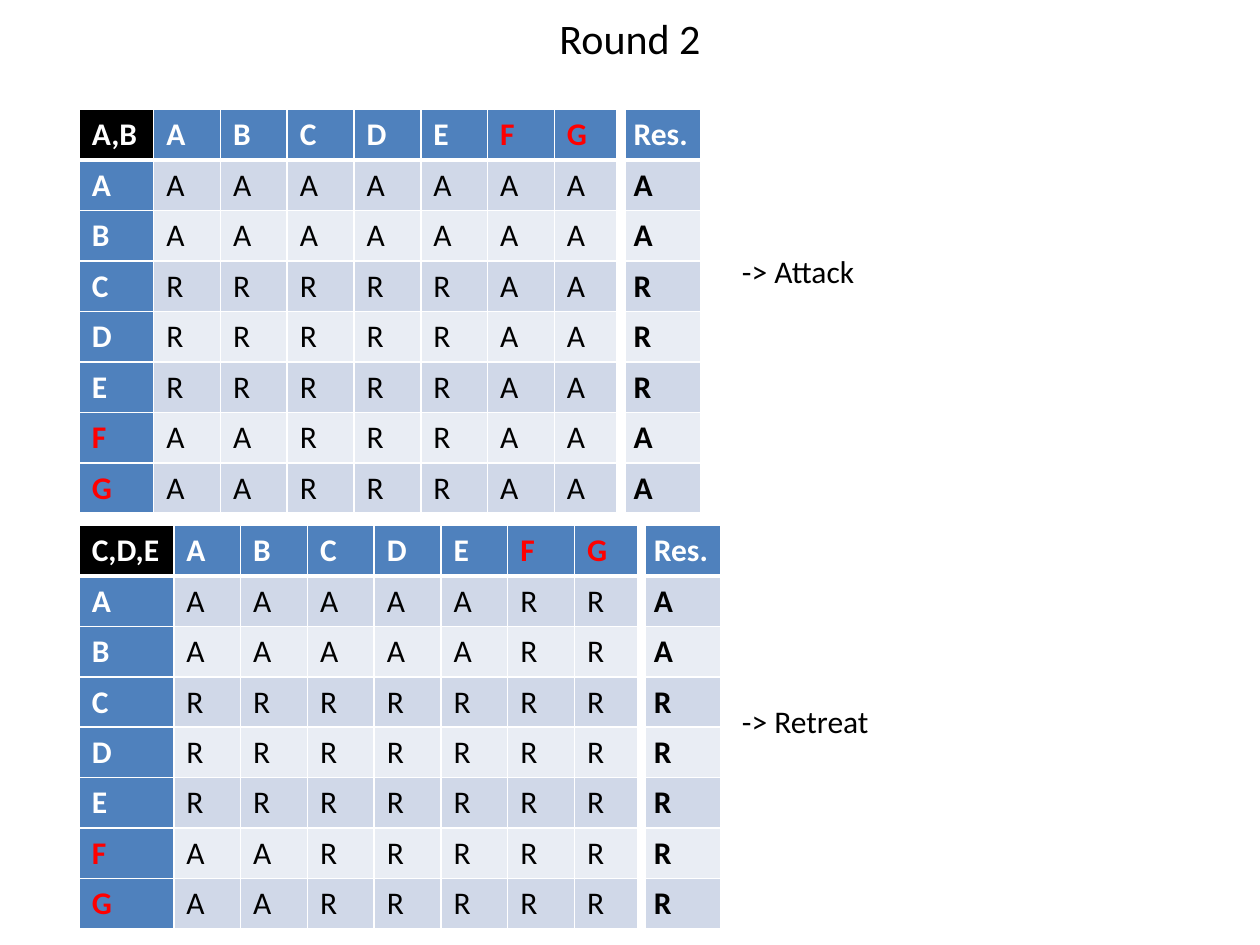
from collections import Counter

from pptx import Presentation
from pptx.dml.color import RGBColor as RGB
from pptx.enum.text import MSO_ANCHOR, MSO_AUTO_SIZE, PP_ALIGN
from pptx.oxml.ns import qn
from pptx.util import Inches, Pt
from lxml.etree import SubElement

COLORS = {
    "white": "FFFFFF", "black": "000000", "traitor": "FF0000",
    "head": "4F81BD", "band1": "D0D8E8", "band2": "E9EDF4",
}
FONT = "Calibri"
GENERALS = "ABCDEFG"
TRAITORS = "FG"
ORDERS = ["AAAAA", "AAAAA", "RRRRR", "RRRRR", "RRRRR", "AARRR", "AARRR"]
LAST = len(GENERALS) + 1  # index of the result column


def grid(n):
    """Slide grid: 100 columns by 75 rows, each a tenth of an inch."""
    return Inches(n / 10)


def style(p, size, color, bold=False):
    f = p.font
    f.name, f.size, f.bold = FONT, Pt(size), bold
    f.color.rgb = RGB.from_string(COLORS[color])


def add_borders(cell, row, col):
    widths = {
        "L": 6 if col == LAST else 1,
        "R": 6 if col == LAST - 1 else 1,
        "T": 3 if row == 1 else 1,
        "B": 3 if row == 0 else 1,
    }
    tcPr = cell._tc.get_or_add_tcPr()
    for side, width in widths.items():
        ln = SubElement(tcPr, qn(f"a:ln{side}"), w=str(Pt(width)))
        fill = SubElement(ln, qn("a:solidFill"))
        SubElement(fill, qn("a:srgbClr"), val=COLORS["white"])


def fill_cell(cell, text, row, col):
    header = row == 0 or col == 0
    if row == col == 0:
        fill = "black"
    elif header:
        fill = "head"
    else:
        fill = "band1" if row % 2 else "band2"
    color = "black"
    if header:
        color = "traitor" if text in TRAITORS else "white"
    add_borders(cell, row, col)
    cell.fill.solid()
    cell.fill.fore_color.rgb = RGB.from_string(COLORS[fill])
    cell.text = text
    style(cell.text_frame.paragraphs[0], 18, color, header or col == LAST)


def add_title(s, text, x, y, w, h):
    title = s.shapes.title
    title.left, title.top, title.width, title.height = map(grid, (x, y, w, h))
    tf = title.text_frame
    tf.text = text
    tf.vertical_anchor = MSO_ANCHOR.TOP
    tf.auto_size = MSO_AUTO_SIZE.SHAPE_TO_FIT_TEXT
    p = tf.paragraphs[0]
    p.alignment = PP_ALIGN.CENTER
    style(p, 24, "black")


def add_votes(s, x, y, group, first_col, traitor_vote):
    """Votes seen by one group, with the majority at the end of each row."""
    rows = [[group, *GENERALS, "Res."]]
    for general, orders in zip(GENERALS, ORDERS):
        votes = orders + traitor_vote * len(TRAITORS)
        rows.append([general, *votes, Counter(votes).most_common(1)[0][0]])

    widths = [first_col] + [5.3] * len(GENERALS) + [6.3]
    table = s.shapes.add_table(len(rows), len(widths), grid(x), grid(y),
                               grid(sum(widths)), grid(4 * len(rows))).table
    for column, width in zip(table.columns, widths):
        column.width = grid(width)
    for i, row in enumerate(rows):
        for j, text in enumerate(row):
            fill_cell(table.cell(i, j), text, i, j)


def add_verdict(s, text, x, y):
    tf = s.shapes.add_textbox(grid(x), grid(y), grid(20.5), grid(4)).text_frame
    tf.word_wrap = True
    tf.auto_size = MSO_AUTO_SIZE.SHAPE_TO_FIT_TEXT
    tf.text = text
    style(tf.paragraphs[0], 18, "black")


prs = Presentation()
prs.slide_width, prs.slide_height = grid(100), grid(75)
s = prs.slides.add_slide(prs.slide_layouts[5])

# Title
add_title(s, "Round 2", 19.3, 0.5, 61.4, 5)

# Vote tables, each with its group's decision
add_votes(s, 6.3, 8.7, "A,B", 5.9, "A")
add_votes(s, 6.3, 41.7, "C,D,E", 7.5, "R")
add_verdict(s, "-> Attack", 57.9, 19.5)
add_verdict(s, "-> Retreat", 57.9, 55.2)

prs.save("out.pptx")
